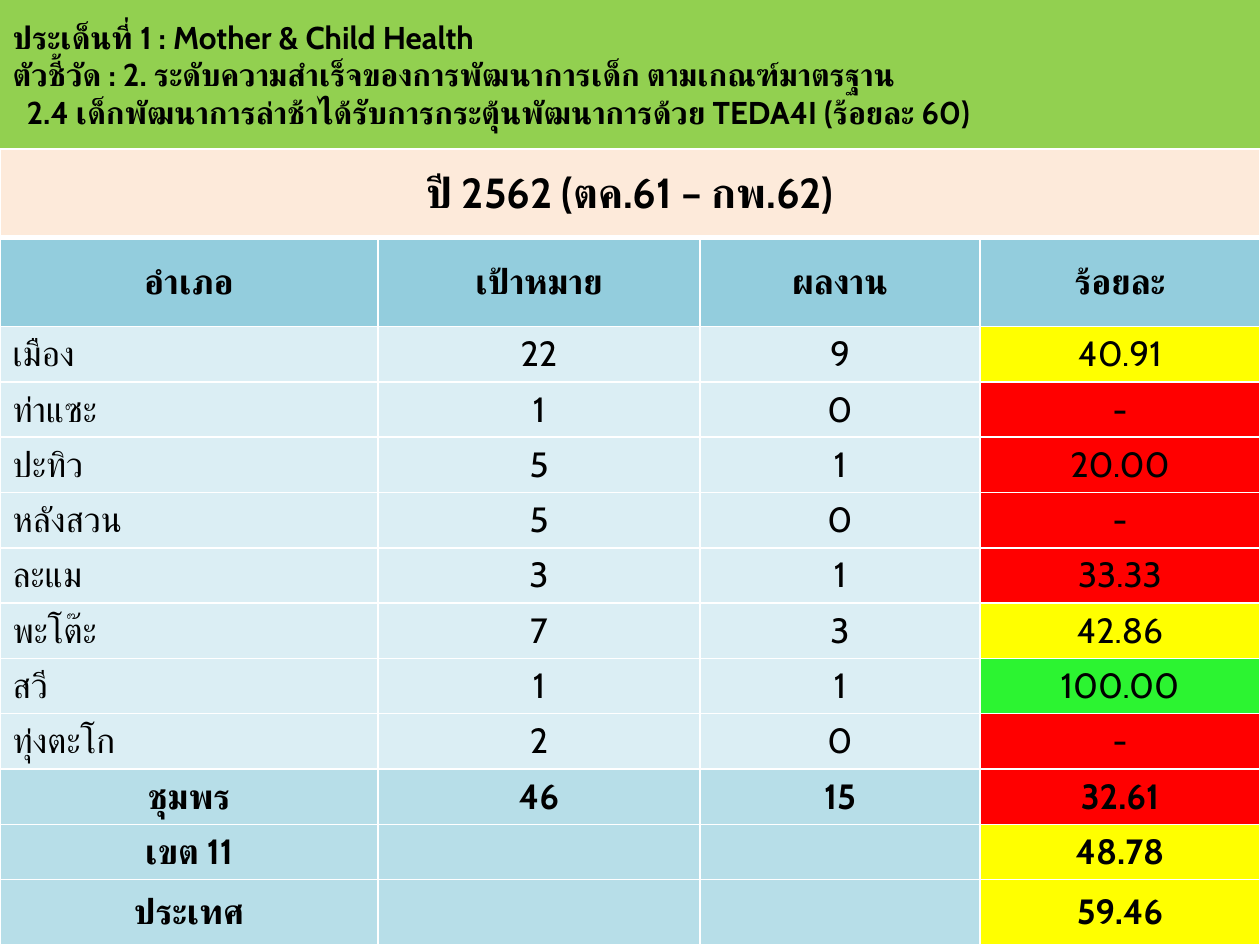
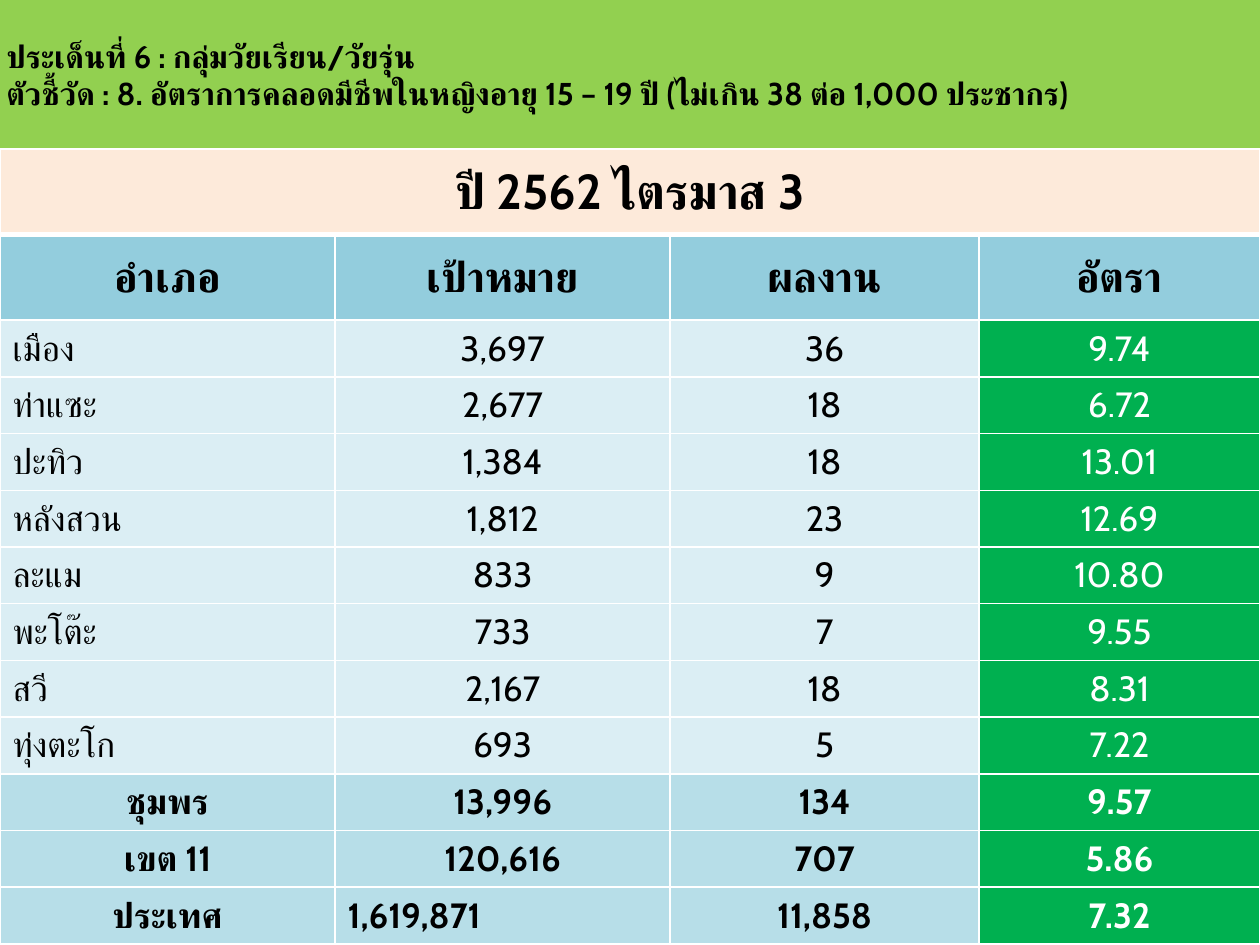
"""Build two district health scorecards, each a title band above a table."""
import pptx
import pptx.util
import pptx.dml.color
import pptx.enum.text
import pptx.oxml.ns
from lxml import etree

Pt = pptx.util.Pt
qn = pptx.oxml.ns.qn
ALIGN = pptx.enum.text.PP_ALIGN
MID = pptx.enum.text.MSO_ANCHOR.MIDDLE

FONT = "Cabin"
WIDE, HIGH, BAND = 720, 540, 85
HUES = {
    "band": "92D050", "year": "FDEADA", "head": "93CDDD", "body": "DBEEF4",
    "total": "B7DEE8", "low": "FF0000", "mid": "FFFF00", "top": "2CF431",
    "pass": "00B050", "ink": "000000", "white": "FFFFFF",
}
AREAS = ["เมือง", "ท่าแซะ", "ปะทิว", "หลังสวน", "ละแม", "พะโต๊ะ", "สวี", "ทุ่งตะโก",
         "ชุมพร", "เขต 11", "ประเทศ"]
LOCAL = 8

CARDS = [
    {
        "title": [("ประเด็นที่ 1 : Mother & Child Health", 0),
                  ("ตัวชี้วัด : 2. ระดับความสำเร็จของการพัฒนาการเด็ก ตามเกณฑ์มาตรฐาน", 0),
                  ("2.4 เด็กพัฒนาการล่าช้าได้รับการกระตุ้นพัฒนาการด้วย TEDA4I (ร้อยละ 60)", 8)],
        "inset": 7.2,
        "year": "ปี 2562 (ตค.61 – กพ.62)",
        "heads": ["อำเภอ", "เป้าหมาย", "ผลงาน", "ร้อยละ"],
        "sizes": (24, 20),
        "cols": [216, 184, 160, 160],
        "rows": [50.8] * 2 + [31.6] * 10 + [37],
        "ink": "ink",
        "left": [],
        "data": [("22", "9", "40.91", "mid"), ("1", "0", "-", "low"),
                 ("5", "1", "20.00", "low"), ("5", "0", "-", "low"),
                 ("3", "1", "33.33", "low"), ("7", "3", "42.86", "mid"),
                 ("1", "1", "100.00", "top"), ("2", "0", "-", "low"),
                 ("46", "15", "32.61", "low"), ("", "", "48.78", "mid"),
                 ("", "", "59.46", "mid")],
    },
    {
        "title": [("ประเด็นที่ 6 : กลุ่มวัยเรียน/วัยรุ่น", 0),
                  ("ตัวชี้วัด : 8. อัตราการคลอดมีชีพในหญิงอายุ 15 – 19 ปี "
                   "(ไม่เกิน 38 ต่อ 1,000 ประชากร)", 0)],
        "inset": 3.6,
        "year": "ปี 2562 ไตรมาส 3",
        "heads": ["อำเภอ", "เป้าหมาย", "ผลงาน", "อัตรา"],
        "sizes": (28, 24),
        "cols": [191.5, 191.5, 176.5, 160.5],
        "rows": [49] * 2 + [32.4] * 11,
        "ink": "white",
        "left": ["1,619,871"],
        "data": [(*row, "pass") for row in [
            ("3,697", "36", "9.74"), ("2,677", "18", "6.72"),
            ("1,384", "18", "13.01"), ("1,812", "23", "12.69"),
            ("833", "9", "10.80"), ("733", "7", "9.55"),
            ("2,167", "18", "8.31"), ("693", "5", "7.22"),
            ("13,996", "134", "9.57"), ("120,616", "707", "5.86"),
            ("1,619,871", "11,858", "7.32")]],
    },
]


def hue(name):
    return pptx.dml.color.RGBColor.from_string(HUES[name])


def paint(part, name):
    part.fill.solid()
    part.fill.fore_color.rgb = hue(name)


def style(para, size, bold=True, ink="ink", align=ALIGN.CENTER):
    para.alignment = align
    font = para.font
    font.size, font.bold, font.name = Pt(size), bold, FONT
    font.color.rgb = hue(ink)
    props = para._p.pPr.find(qn("a:defRPr"))
    etree.SubElement(props, qn("a:cs"), typeface=FONT)


def edge(cell, base=1):
    props = cell._tc.get_or_add_tcPr()
    for side in "LRTB":
        width = Pt(base if side == "B" else 1)
        line = etree.SubElement(props, qn(f"a:ln{side}"), w=str(width))
        fill = etree.SubElement(line, qn("a:solidFill"))
        etree.SubElement(fill, qn("a:srgbClr"), val=HUES["white"])


def put(cell, text, fill, size, base=1, **look):
    edge(cell, base)
    paint(cell, fill)
    cell.vertical_anchor = MID
    cell.text = text
    style(cell.text_frame.paragraphs[0], size, **look)


def add_title(slide, card):
    band = slide.shapes.title
    band.left, band.top, band.width, band.height = 0, 0, Pt(WIDE), Pt(BAND)
    paint(band, "band")
    frame = band.text_frame
    frame.word_wrap = True
    frame.auto_size = pptx.enum.text.MSO_AUTO_SIZE.NONE
    frame.vertical_anchor = MID
    frame.margin_left = frame.margin_right = Pt(card["inset"])
    frame.text = "\n".join(text for text, _ in card["title"])
    for para, (_, dent) in zip(frame.paragraphs, card["title"]):
        para._p.get_or_add_pPr().set("marL", str(Pt(dent)))
        style(para, 18, align=ALIGN.LEFT)


def add_grid(slide, card):
    cols, rows = card["cols"], card["rows"]
    grid = slide.shapes.add_table(len(rows), len(cols), 0, Pt(BAND),
                                  Pt(WIDE), Pt(HIGH - BAND)).table
    grid.first_row = grid.horz_banding = False
    for col, width in zip(grid.columns, cols):
        col.width = Pt(width)
    for row, height in zip(grid.rows, rows):
        row.height = Pt(height)
    large, small = card["sizes"]
    grid.cell(0, 0).merge(grid.cell(0, len(cols) - 1))
    put(grid.cell(0, 0), card["year"], "year", large, base=3)
    for at in range(1, len(cols)):
        edge(grid.cell(0, at), 3)
    for at, text in enumerate(card["heads"]):
        put(grid.cell(1, at), text, "head", small)
    for num, (area, (*vals, mark)) in enumerate(zip(AREAS, card["data"])):
        total = num >= LOCAL
        for at, text in enumerate([area, *vals]):
            last = at == len(vals)
            left = (at == 0 and not total) or text in card["left"]
            fill = mark if last else "total" if total else "body"
            put(grid.cell(num + 2, at), text, fill, 20, bold=total,
                ink=card["ink"] if last else "ink",
                align=ALIGN.LEFT if left else ALIGN.CENTER)


def main():
    deck = pptx.Presentation()
    deck.slide_width, deck.slide_height = Pt(WIDE), Pt(HIGH)
    for card in CARDS:
        slide = deck.slides.add_slide(deck.slide_layouts[5])
        add_title(slide, card)
        add_grid(slide, card)
    deck.save("out.pptx")


if __name__ == "__main__":
    main()
